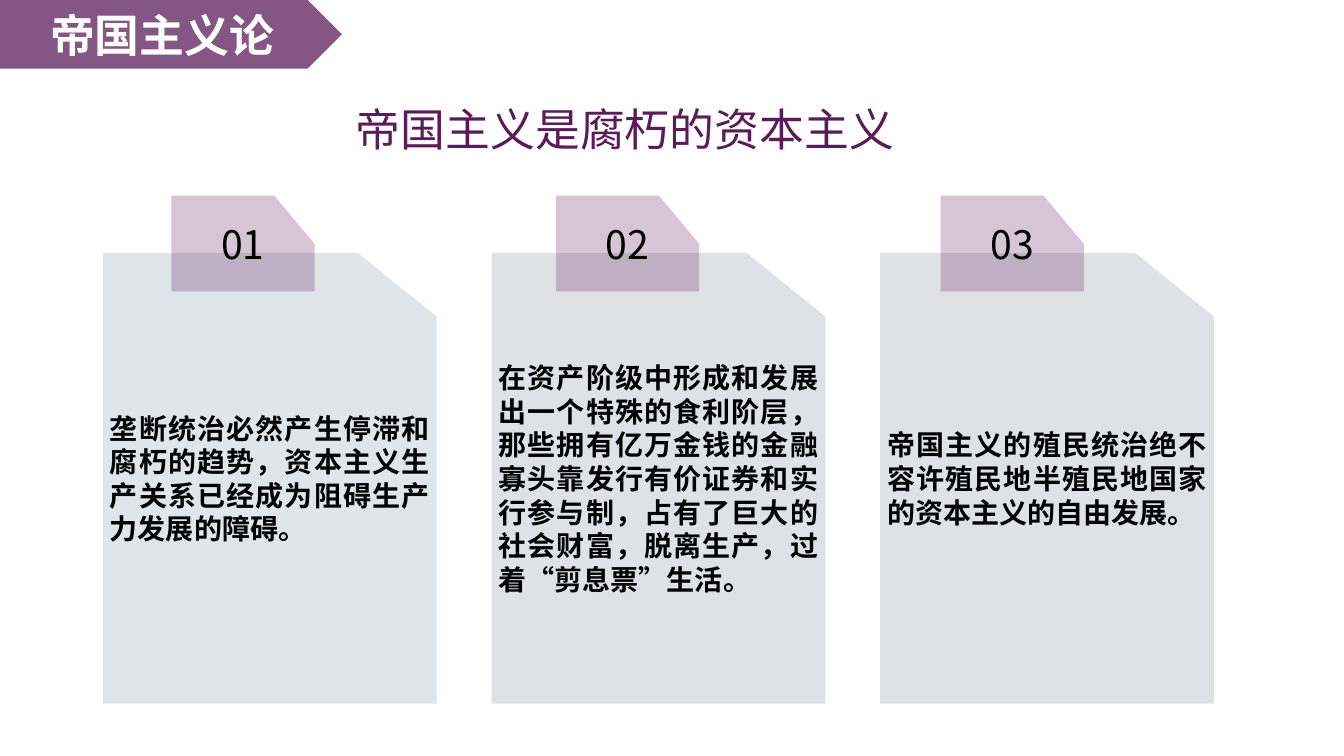
from lxml.etree import SubElement
from pptx import Presentation
from pptx.dml.color import RGBColor
from pptx.enum.shapes import MSO_SHAPE
from pptx.enum.text import MSO_ANCHOR as ANCHOR, MSO_AUTO_SIZE as AUTO, PP_ALIGN as ALIGN
from pptx.oxml.ns import qn
from pptx.util import Inches, Pt

FONT = "Noto Sans CJK SC"
PURPLE = "5A1B58"
CARDS = [
    ("垄断统治必然产生停滞和腐朽的趋势，资本主义生产关系已经成为阻碍生产力发展的障碍。", "8497B0", 25),
    ("在资产阶级中形成和发展出一个特殊的食利阶层，那些拥有亿万金钱的金融寡头靠发行有价证券和实行参与制，"
     "占有了巨大的社会财富，脱离生产，过着“剪息票”生活。", "C0C2CC", 48),
    ("帝国主义的殖民统治绝不容许殖民地半殖民地国家的资本主义的自由发展。", "C0C2CC", 48),
]


def rgb(code):
    return RGBColor.from_string(code)


class Deck:
    """Holds the presentation, its current slide and the shared style."""

    def __init__(self):
        self.prs = Presentation()
        self.prs.slide_width, self.prs.slide_height = Inches(13.33), Inches(7.5)
        self.s = self.prs.slides.add_slide(self.prs.slide_layouts[5])

    def label(self, sp, text, size, color="000000", bold=False, align=ALIGN.CENTER,
              anchor=ANCHOR.MIDDLE, wrap=True):
        tf = sp.text_frame
        tf.word_wrap, tf.vertical_anchor = wrap, anchor
        p = tf.paragraphs[0]
        p.alignment = align
        r = p.add_run()
        r.text = text
        r.font.size, r.font.bold, r.font.name = Pt(size), bold, FONT
        r.font.color.rgb = rgb(color)
        SubElement(r._r.get_or_add_rPr(), qn("a:ea")).set("typeface", FONT)

    def paint(self, sp, color, alpha):
        sp.shadow.inherit = False
        sp.line.fill.background()
        sp.fill.solid()
        sp.fill.fore_color.rgb = rgb(color)
        clr = sp._element.spPr.find(qn("a:solidFill"))[0]
        SubElement(clr, qn("a:alpha")).set("val", str(alpha * 1000))

    def title(self, x, y, w, h, text):
        sp = self.s.shapes.title
        sp.left, sp.top, sp.width, sp.height = map(Inches, (x, y, w, h))
        self.label(sp, text, 32, PURPLE, align=ALIGN.LEFT, anchor=ANCHOR.TOP, wrap=False)
        sp.text_frame.auto_size = AUTO.SHAPE_TO_FIT_TEXT

    def banner(self, w, h, text):
        sp = self.s.shapes.add_shape(MSO_SHAPE.PENTAGON, 0, 0, Inches(w), Inches(h))
        self.paint(sp, PURPLE, 74)
        self.label(sp, text, 32, "FFFFFF", bold=True)

    def clipped(self, x, y, w, h, cut_x, cut_y, color, alpha, text, **style):
        right, bottom = x + w, y + h
        corners = [(right - cut_x, y), (right, y + cut_y), (right, bottom), (x, bottom)]
        fb = self.s.shapes.build_freeform(Inches(x), Inches(y))
        fb.add_line_segments([(Inches(a), Inches(b)) for a, b in corners], close=True)
        sp = fb.convert_to_shape()
        self.paint(sp, color, alpha)
        tf = sp.text_frame
        tf.margin_left = tf.margin_right = Inches(0.07)
        tf.margin_top = tf.margin_bottom = Inches(0.04)
        self.label(sp, text, **style)


def main():
    deck = Deck()
    deck.title(3.43, 0.96, 5.59, 0.64, "帝国主义是腐朽的资本主义")
    for i, (text, color, alpha) in enumerate(CARDS):
        deck.clipped(1.02 + i * 7.71 / 2, 2.51, 3.31, 4.47, 0.78, 0.63, color, alpha, text,
                     size=20, bold=True, align=ALIGN.JUSTIFY)
        deck.clipped(1.7 + i * 7.63 / 2, 1.94, 1.42, 0.95, 0.4, 0.48, PURPLE, 25,
                     f"{i + 1:02}", size=28)
    deck.banner(3.39, 0.68, "帝国主义论")
    deck.prs.save("out.pptx")


if __name__ == "__main__":
    main()
